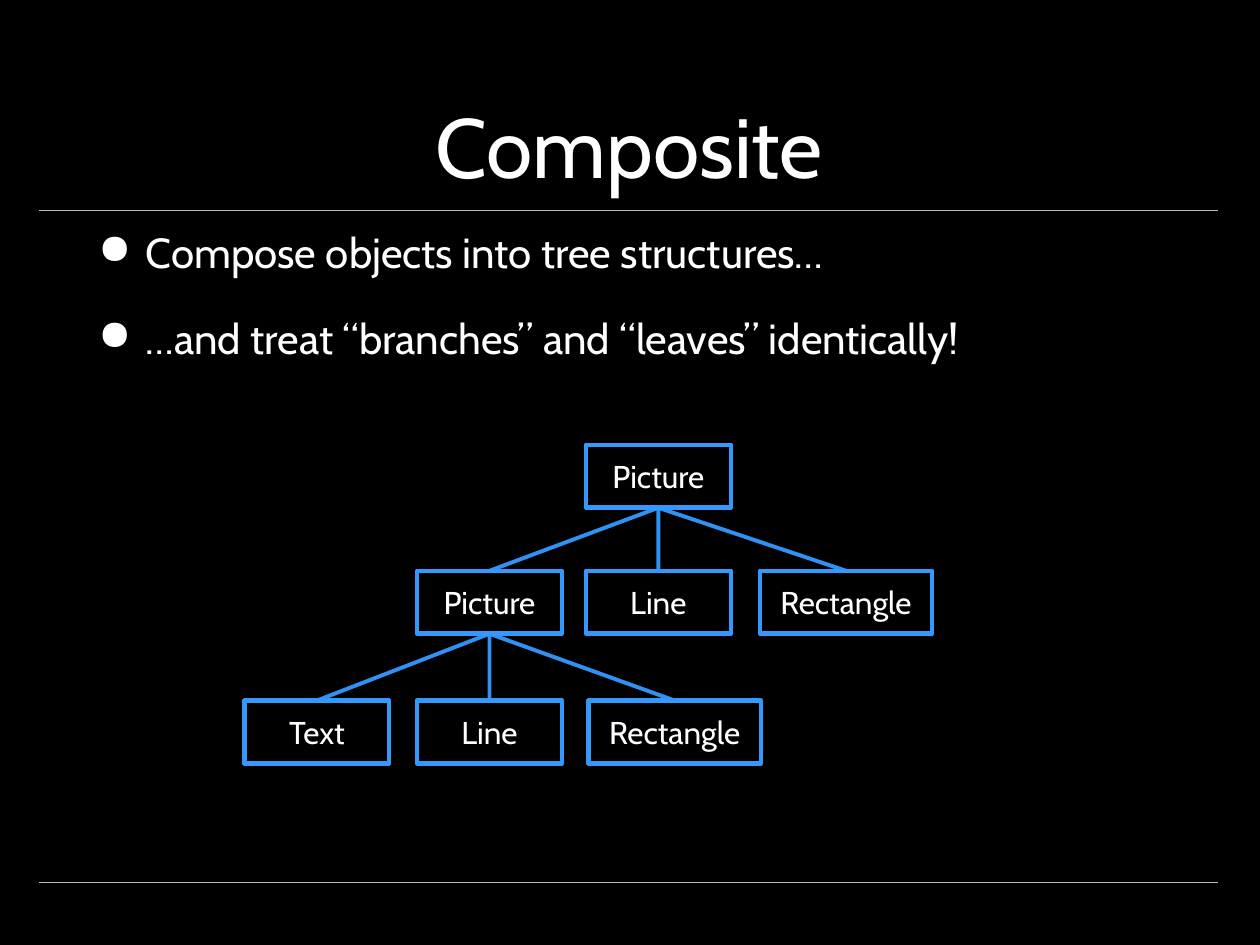
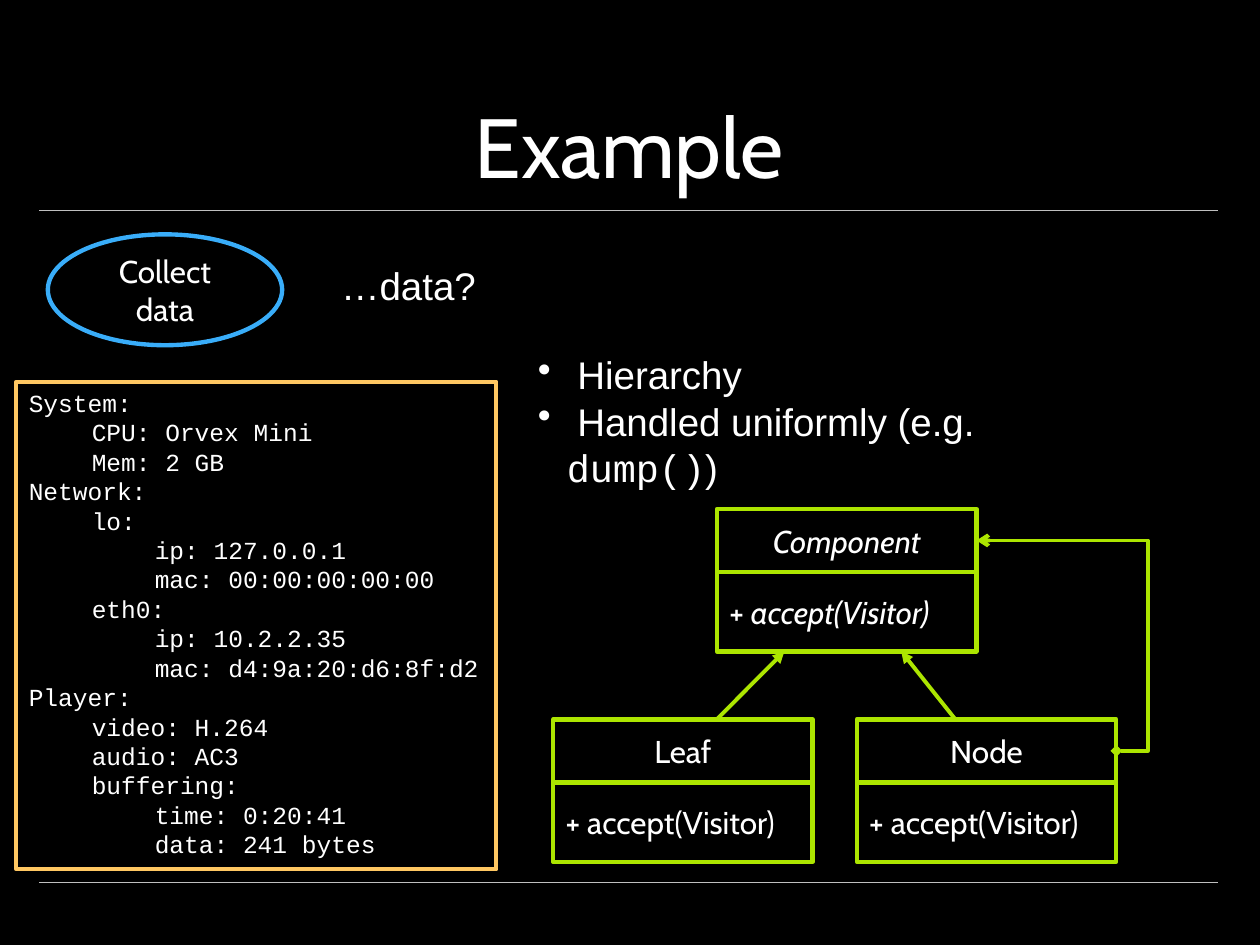
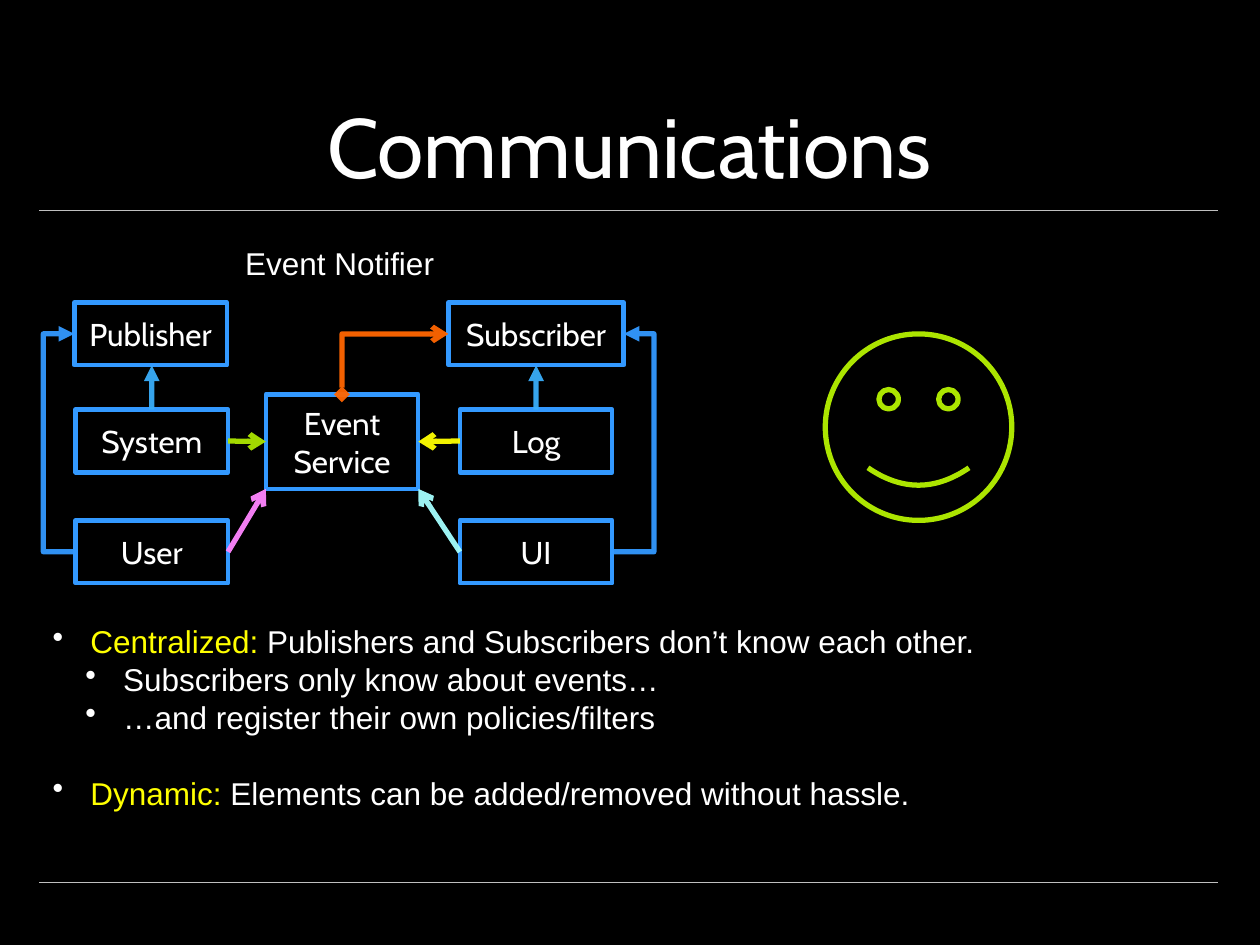
from dataclasses import dataclass

from lxml import etree
from pptx import Presentation
from pptx.dml.color import RGBColor
from pptx.enum.shapes import MSO_CONNECTOR, MSO_SHAPE
from pptx.enum.text import MSO_ANCHOR, MSO_AUTO_SIZE, PP_ALIGN
from pptx.oxml.ns import qn
from pptx.util import Inches, Pt

RECTANGLE, OVAL, SMILEY = MSO_SHAPE.RECTANGLE, MSO_SHAPE.OVAL, MSO_SHAPE.SMILEY_FACE
STRAIGHT, ELBOW = MSO_CONNECTOR.STRAIGHT, MSO_CONNECTOR.ELBOW
LEFT, CENTER = PP_ALIGN.LEFT, PP_ALIGN.CENTER
TOP, MIDDLE, BOTTOM = MSO_ANCHOR.TOP, MSO_ANCHOR.MIDDLE, MSO_ANCHOR.BOTTOM
NO_AUTOFIT = MSO_AUTO_SIZE.NONE
TITLE_ONLY = 5

CABIN, ARIAL, MONO = "Cabin", "Arial", "Courier New"
BLACK, WHITE, GREY = "000000", "FFFFFF", "BFBFBF"
BLUE, SKY, LIME, YELLOW = "3399FF", "39ADF9", "ACE500", "FFFF00"
ORANGE, PINK, CYAN, AMBER = "FF6600", "FF85FF", "A5FFFF", "FFC762"


@dataclass
class Para:
    """A paragraph; runs are strings or (string, format overrides) pairs."""
    runs: list
    left: float = 0
    before: float = 0


def rgb(hex_color):
    return RGBColor.from_string(hex_color)


def add_run(paragraph, text, size, font, color, italic=False):
    for number, line in enumerate(text.split("\n")):
        if number:
            paragraph.add_line_break()
        if line:
            run = paragraph.add_run()
            run.text = line
            run.font.size = Pt(size)
            run.font.name = font
            run.font.color.rgb = rgb(color)
            run.font.italic = italic


def write(frame, *paragraphs, size=18, font=CABIN, color=WHITE, italic=False,
          align=CENTER, anchor=MIDDLE, bullet=None, hang=0, leading=None):
    frame.word_wrap = True
    frame.vertical_anchor = anchor
    for number, content in enumerate(paragraphs):
        para = Para([content]) if isinstance(content, str) else content
        paragraph = frame.add_paragraph() if number else frame.paragraphs[0]
        paragraph.alignment = align
        paragraph.space_before = Pt(para.before)
        if leading:
            paragraph.line_spacing = Pt(leading * size)
        properties = paragraph._p.get_or_add_pPr()
        properties.set("marL", str(Inches(para.left + hang)))
        properties.set("indent", str(Inches(-hang)))
        if bullet:
            etree.SubElement(properties, qn("a:buChar")).set("char", bullet)
        for run in para.runs:
            text, changes = (run, {}) if isinstance(run, str) else run
            style = dict(size=size, font=font, color=color, italic=italic)
            add_run(paragraph, text, **{**style, **changes})


def point(shape, across, down):
    """The point at the given fractions of a shape's width and height."""
    return (shape.left + int(across * shape.width),
            shape.top + int(down * shape.height))


class Deck:
    def __init__(self):
        self.presentation = Presentation()
        self.presentation.slide_width = Inches(10)
        self.presentation.slide_height = Inches(7.5)
        background = self.presentation.slide_master.background.fill
        background.solid()
        background.fore_color.rgb = rgb(BLACK)
        self.slide = None

    def new_slide(self, title):
        layout = self.presentation.slide_layouts[TITLE_ONLY]
        self.slide = self.presentation.slides.add_slide(layout)
        for y in (1.67, 7):
            self.line((Inches(0.31), Inches(y)), (Inches(9.67), Inches(y)), GREY, 0.25)
        heading = self.slide.shapes.title
        heading.left, heading.top = Inches(0.7), Inches(0.12)
        heading.width, heading.height = Inches(8.59), Inches(1.43)
        heading.text_frame.auto_size = NO_AUTOFIT
        heading.text_frame.margin_bottom = 0
        write(heading.text_frame, title, size=48, anchor=BOTTOM)

    def text(self, left, top, width, height, *paragraphs, **style):
        area = self.slide.shapes.add_textbox(
            Inches(left), Inches(top), Inches(width), Inches(height))
        write(area.text_frame, *paragraphs, **{"align": LEFT, "anchor": TOP, **style})

    def box(self, left, top, width, height, *paragraphs,
            kind=RECTANGLE, color=BLUE, weight=2.5, **style):
        shape = self.slide.shapes.add_shape(
            kind, Inches(left), Inches(top), Inches(width), Inches(height))
        shape.shadow.inherit = False
        shape.fill.background()
        shape.line.color.rgb = rgb(color)
        shape.line.width = Pt(weight)
        write(shape.text_frame, *paragraphs, **style)
        return shape

    def line(self, start, end, color, weight, head=None, tail=None, via=None, alpha=None):
        """A line; via is the x in inches of the upright part of an elbow."""
        connector = self.slide.shapes.add_connector(
            STRAIGHT if via is None else ELBOW, *start, *end)
        connector.line.color.rgb = rgb(color)
        connector.line.width = Pt(weight)
        properties = connector._element.spPr
        outline = properties.find(qn("a:ln"))
        if alpha:
            tint = outline.find(".//" + qn("a:srgbClr"))
            etree.SubElement(tint, qn("a:alpha")).set("val", str(alpha * 1000))
        for tag, arrow in (("a:headEnd", head), ("a:tailEnd", tail)):
            if arrow:
                etree.SubElement(outline, qn(tag)).set("type", arrow)
        if via is not None:
            bend = (Inches(via) - start[0]) / (end[0] - start[0])
            guide = etree.SubElement(properties.find(".//" + qn("a:avLst")), qn("a:gd"))
            guide.set("name", "adj1")
            guide.set("fmla", f"val {round(bend * 100000)}")
        etree.SubElement(properties, qn("a:effectLst"))

    def uml_class(self, left, top, name, operation, italic=False):
        """Two stacked boxes: class name and operation."""
        width, name_height = 2.06, 0.5
        header = self.box(left, top, width, name_height, name, color=LIME, italic=italic)
        signature = Para(["+ ", (operation, {"italic": italic})])
        body = self.box(left, top + name_height, width, 0.63, signature,
                        color=LIME, align=LEFT)
        return header, body


def composite_slide(deck):
    deck.new_slide("Composite")
    deck.text(0.68, 1.75, 8.62, 1.54,
              Para(["Compose objects into tree structures…"], before=20),
              Para(["…and treat “branches” and “leaves” identically!"], before=20),
              size=24, bullet="●", hang=0.38)

    def node(label, left, top, parent=None):
        width = 1.37 if label == "Rectangle" else 1.15
        box = deck.box(left, top, width, 0.5, label)
        if parent:
            deck.line(point(parent, 0.5, 1), point(box, 0.5, 0), BLUE, 2.25, alpha=95)
        return box

    root = node("Picture", 4.65, 3.53)
    branch = node("Picture", 3.31, 4.53, root)
    for label, left in (("Line", 4.65), ("Rectangle", 6.03)):
        node(label, left, 4.53, root)
    for label, left in (("Text", 1.94), ("Line", 3.31), ("Rectangle", 4.67)):
        node(label, left, 5.56, branch)


def example_slide(deck):
    deck.new_slide("Example")
    component, component_body = deck.uml_class(
        5.69, 4.04, "Component", "accept(Visitor)", italic=True)
    leaf, _ = deck.uml_class(4.39, 5.71, "Leaf", "accept(Visitor)")
    node, _ = deck.uml_class(6.8, 5.71, "Node", "accept(Visitor)")
    for child, start, end in ((leaf, 0.63, 0.26), (node, 0.38, 0.71)):
        deck.line(point(child, start, 0), point(component_body, end, 1),
                  LIME, 2.25, tail="triangle")
    deck.line(point(node, 1, 0.5), point(component, 1, 0.5), LIME, 2.25,
              head="diamond", tail="arrow", via=9.11)

    deck.box(0.38, 1.86, 1.86, 0.88, "Collect data", kind=OVAL, color=SKY)
    deck.text(2.61, 2.03, 1.28, 0.47, "…data?", size=22, font=ARIAL, leading=1.2)
    deck.text(4.17, 2.74, 4.87, 0.84, " Hierarchy",
              Para([" Handled uniformly (e.g. \n", ("dump()", {"font": MONO}), ")"]),
              size=22, font=ARIAL, bullet="•", hang=0.23, leading=1.2)

    settings = [
        (0, "System:"), (1, "CPU: Orvex Mini"), (1, "Mem: 2 GB"),
        (0, "Network:"),
        (1, "lo:"), (2, "ip: 127.0.0.1"), (2, "mac: 00:00:00:00:00"),
        (1, "eth0:"), (2, "ip: 10.2.2.35"), (2, "mac: d4:9a:20:d6:8f:d2"),
        (0, "Player:"), (1, "video: H.264"), (1, "audio: AC3"),
        (1, "buffering:"), (2, "time: 0:20:41\ndata: 241 bytes"),
    ]
    deck.box(0.13, 3.03, 3.81, 3.87,
             *(Para([entry], left=0.5 * depth) for depth, entry in settings),
             color=AMBER, weight=2.25, size=14, font=MONO,
             align=LEFT, anchor=TOP, leading=1.2)


def communications_slide(deck):
    deck.new_slide("Communications")
    width, height = 1.21, 0.5
    publisher = deck.box(0.59, 2.4, width, height, "Publisher")
    system = deck.box(0.6, 3.25, width, height, "System")
    user = deck.box(0.6, 4.13, width, height, "User")
    subscriber = deck.box(3.56, 2.4, 1.39, height, "Subscriber")
    log = deck.box(3.65, 3.25, width, height, "Log")
    ui = deck.box(3.65, 4.13, width, height, "UI")
    service = deck.box(2.11, 3.13, width, 0.75, "Event\nService")

    def arrow(start, end, color, tail="arrow", **options):
        deck.line(start, end, color, 3, tail=tail, alpha=95, **options)

    for child, parent in ((system, publisher), (log, subscriber)):
        top = point(child, 0.5, 0)
        arrow(top, (top[0], point(parent, 0, 1)[1]), SKY, "triangle")
    for child, parent, side, via in ((user, publisher, 0, 0.34), (ui, subscriber, 1, 5.19)):
        arrow(point(child, side, 0.5), point(parent, side, 0.5), BLUE, "triangle", via=via)
    arrow(point(subscriber, 0, 0.5), point(service, 0.5, 0), ORANGE,
          "diamond", head="arrow", via=2.11 + width / 2)
    for source, side, down, color in ((system, 1, 0.5, LIME), (user, 1, 1, PINK),
                                      (log, 0, 0.5, YELLOW), (ui, 0, 1, CYAN)):
        arrow(point(source, side, 0.5), point(service, 1 - side, down), color)

    deck.text(1.82, 1.89, 1.75, 0.4, "Event Notifier",
              font=ARIAL, align=CENTER, leading=1.2)
    accent = {"color": YELLOW}
    deck.text(0.32, 4.89, 7.53, 1.62,
              Para([" ", ("Centralized:", accent),
                    " Publishers and Subscribers don’t know each other."]),
              Para([" Subscribers only know about events…"], left=0.26),
              Para([" …and register their own policies/filters"], left=0.26),
              Para([" ", ("Dynamic:", accent),
                    " Elements can be added/removed without hassle."], before=21.6),
              font=ARIAL, bullet="•", hang=0.23, leading=1.2)
    deck.box(6.55, 2.65, 1.48, 1.48, kind=SMILEY, color=LIME, weight=3)


def main():
    deck = Deck()
    composite_slide(deck)
    example_slide(deck)
    communications_slide(deck)
    deck.presentation.save("out.pptx")


if __name__ == "__main__":
    main()
